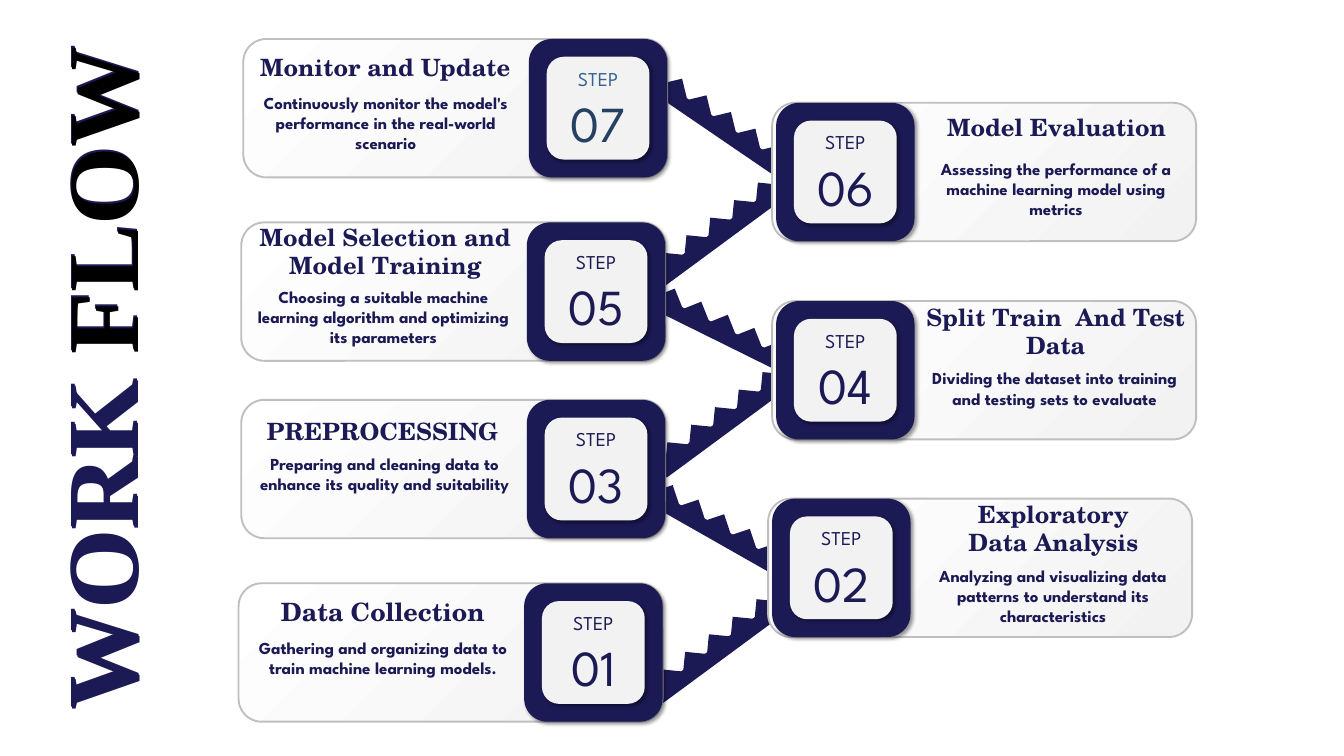
import math
from typing import NamedTuple

import pptx
import pptx.dml.color
import pptx.enum.shapes
import pptx.enum.text
import pptx.oxml
import pptx.oxml.ns
import pptx.util
from pptx.util import Inches

NAVY, BLACK, WHITE = "1C1A55", "000000", "FFFFFF"
PALE, GREY = "F2F2F2", "BFBFBF"
SANS, SERIF, TIMES = "League Spartan", "TeX Gyre Schola", "Times New Roman"
SHAPE = pptx.enum.shapes.MSO_SHAPE
NAMESPACE = pptx.oxml.ns.nsdecls("a")

CARD_WIDTH, CARD_HEIGHT = 6.31, 2.06
TILE_SIZE, TILE_INSET = 1.53, 0.265
LEFT_BADGE, RIGHT_BADGE = 4.25, 0.06
BAR_WIDTH, BAR_HEIGHT = 2.39, 0.22
TOOTH_WIDTH, TOOTH_HEIGHT, TOOTH_PITCH, TOOTH_TURN = 0.32, 0.36, 0.44, 132


class Frame(NamedTuple):
    left: float
    top: float
    width: float
    height: float


class Ramp(NamedTuple):
    center_x: float
    center_y: float
    angle: float


class Step(NamedTuple):
    number: str
    left: float
    top: float
    badge_offset: float
    title: str
    title_frame: Frame
    detail: str
    detail_frame: Frame
    title_size: float = 25.5
    label_color: str = NAVY
    number_color: str = NAVY


RAMPS = [
    Ramp(10.75, 3.49, -36.4),
    Ramp(10.7, 1.92, 34.3),
    Ramp(10.69, 4.96, 26.3),
    Ramp(10.82, 6.31, -36.4),
    Ramp(10.62, 7.92, 29.6),
    Ramp(10.73, 9.69, -36.4),
]

STEPS = [
    Step("01", 3.55, 8.68, LEFT_BADGE,
         "Data Collection", Frame(3.94, 8.83, 3.51, 0.56),
         "Gathering and organizing data to train machine learning models.",
         Frame(3.59, 9.44, 4.22, 1.01), title_size=27),
    Step("03", 3.59, 5.95, LEFT_BADGE,
         "PREPROCESSING", Frame(3.82, 6.15, 3.74, 0.53),
         "Preparing and cleaning data to enhance its quality and suitability",
         Frame(3.64, 6.7, 4.17, 1.01)),
    Step("05", 3.59, 3.31, LEFT_BADGE,
         "Model Selection and\nModel Training", Frame(3.62, 3.26, 4.23, 0.96),
         "Choosing a suitable machine learning algorithm and optimizing its parameters",
         Frame(3.62, 4.21, 4.17, 1.01)),
    Step("07", 3.62, 0.58, LEFT_BADGE,
         "Monitor and Update", Frame(3.62, 0.73, 4.23, 0.53),
         "Continuously monitor the model's performance in the real-world scenario",
         Frame(3.62, 1.33, 4.24, 1.01), label_color="376092", number_color="254061"),
    Step("02", 11.43, 7.42, RIGHT_BADGE,
         "Exploratory Data Analysis", Frame(14.24, 7.38, 2.87, 0.96),
         "Analyzing and visualizing data patterns to understand its characteristics",
         Frame(13.56, 8.37, 4.22, 1.01)),
    Step("04", 11.49, 4.48, RIGHT_BADGE,
         "Split Train  And Test Data", Frame(13.68, 4.45, 4.06, 0.96),
         "Dividing the dataset into training and testing sets to evaluate",
         Frame(13.61, 5.43, 4.17, 0.71)),
    Step("06", 11.49, 1.53, RIGHT_BADGE,
         "Model Evaluation", Frame(13.61, 1.63, 4.23, 0.53),
         "Assessing the performance of a machine learning model using metrics",
         Frame(13.62, 2.31, 4.19, 1.01)),
]


def rgb(color: str) -> pptx.dml.color.RGBColor:
    return pptx.dml.color.RGBColor.from_string(color)


def add_block(shapes, kind, frame: Frame, color: str, angle: float = 0):
    """Add a borderless solid shape without a shadow."""
    block = shapes.add_shape(kind, *map(Inches, frame))
    block.shadow.inherit = False
    block.fill.solid()
    block.fill.fore_color.rgb = rgb(color)
    block.line.fill.background()
    block.rotation = angle % 360
    return block


def add_span(para, text: str, *, size: float, font: str, color: str = NAVY, bold: bool = False):
    span = para.add_run()
    span.text = text
    span.font.size = pptx.util.Pt(size)
    span.font.name = font
    span.font.bold = bold
    span.font.color.rgb = rgb(color)
    return span


def add_text(shapes, frame: Frame, text: str, **style):
    """Add a centred text box with one paragraph per line of text."""
    box = shapes.add_textbox(*map(Inches, frame))
    box.text_frame.word_wrap = True
    box.text_frame.auto_size = pptx.enum.text.MSO_AUTO_SIZE.SHAPE_TO_FIT_TEXT
    for index, line in enumerate(text.split("\n")):
        para = box.text_frame.add_paragraph() if index else box.text_frame.paragraphs[0]
        para.alignment = pptx.enum.text.PP_ALIGN.CENTER
        add_span(para, line, **style)
    return box


def cast_shadow(shape) -> None:
    effects = shape._element.spPr.find(pptx.oxml.ns.qn("a:effectLst"))
    effects.append(pptx.oxml.parse_xml(
        f'<a:outerShdw {NAMESPACE} blurRad="50800" dist="38100" dir="2700000" algn="tl" '
        f'rotWithShape="0"><a:srgbClr val="{BLACK}"><a:alpha val="40000"/></a:srgbClr>'
        '</a:outerShdw>'))


def draw_ramp(page, ramp: Ramp) -> None:
    """Draw a slanted bar with five teeth along its upper edge."""
    shapes = page.shapes.add_group_shape().shapes
    add_block(shapes, SHAPE.RECTANGLE,
              Frame(ramp.center_x - BAR_WIDTH / 2, ramp.center_y - BAR_HEIGHT / 2,
                    BAR_WIDTH, BAR_HEIGHT), NAVY, ramp.angle)
    cosine, sine = math.cos(math.radians(ramp.angle)), math.sin(math.radians(ramp.angle))
    for index in range(-2, 3):
        along, above = 0.03 + index * TOOTH_PITCH, 0.07
        tooth_x = ramp.center_x + along * cosine + above * sine
        tooth_y = ramp.center_y + along * sine - above * cosine
        add_block(shapes, SHAPE.RIGHT_TRIANGLE,
                  Frame(tooth_x - TOOTH_WIDTH / 2, tooth_y - TOOTH_HEIGHT / 2,
                        TOOTH_WIDTH, TOOTH_HEIGHT), NAVY, ramp.angle + TOOTH_TURN)


def draw_step(page, step: Step) -> None:
    shapes = page.shapes.add_group_shape().shapes
    card = add_block(shapes, SHAPE.ROUNDED_RECTANGLE,
                     Frame(step.left, step.top, CARD_WIDTH, CARD_HEIGHT), WHITE)
    card.fill.gradient()
    card.fill.gradient_angle = 315
    for stop, color in zip(card.fill.gradient_stops, (WHITE, PALE)):
        stop.color.rgb = rgb(color)
    card.line.color.rgb = rgb(GREY)
    card.line.width = pptx.util.Pt(2)

    left, top = step.left + step.badge_offset, step.top
    badge = Frame(left, top, CARD_HEIGHT, CARD_HEIGHT)
    tile = Frame(left + TILE_INSET, top + TILE_INSET, TILE_SIZE, TILE_SIZE)
    for frame, color in ((badge, NAVY), (tile, PALE)):
        cast_shadow(add_block(shapes, SHAPE.ROUNDED_RECTANGLE, frame, color))
    add_text(shapes, Frame(left + 0.28, top + 0.36, 1.5, 0.45), "STEP",
             size=21, font=SANS, color=step.label_color)
    add_text(shapes, Frame(left + 0.37, top + 0.74, 1.33, 1.01), step.number,
             size=54, font=SANS, color=step.number_color)
    add_text(shapes, step.title_frame, step.title, size=step.title_size, font=SERIF, bold=True)
    add_text(shapes, step.detail_frame, step.detail, size=18, font=SANS, bold=True)


def draw_heading(page) -> None:
    """Draw the vertical heading as two layers, the upper with a black second word."""
    style = dict(size=108, font=TIMES, bold=True)
    lower = add_text(page.shapes, Frame(-4.17, 4.64, 11.25, 1.92), "WORK FLOW", **style)
    upper = add_text(page.shapes, Frame(-4.16, 4.67, 11.25, 1.92), "WORK ", **style)
    span = add_span(upper.text_frame.paragraphs[0], "FLOW", color=BLACK, **style)
    span.font._element.insert(0, pptx.oxml.parse_xml(
        f'<a:ln {NAMESPACE} w="9525"><a:solidFill><a:srgbClr val="{BLACK}"/></a:solidFill></a:ln>'))
    for box in (lower, upper):
        box.rotation = 270


def main() -> None:
    deck = pptx.Presentation()
    deck.slide_width, deck.slide_height = Inches(20), Inches(11.25)
    page = deck.slides.add_slide(deck.slide_layouts[6])
    for ramp in RAMPS:
        draw_ramp(page, ramp)
    for step in STEPS:
        draw_step(page, step)
    draw_heading(page)
    deck.save("out.pptx")


if __name__ == "__main__":
    main()
